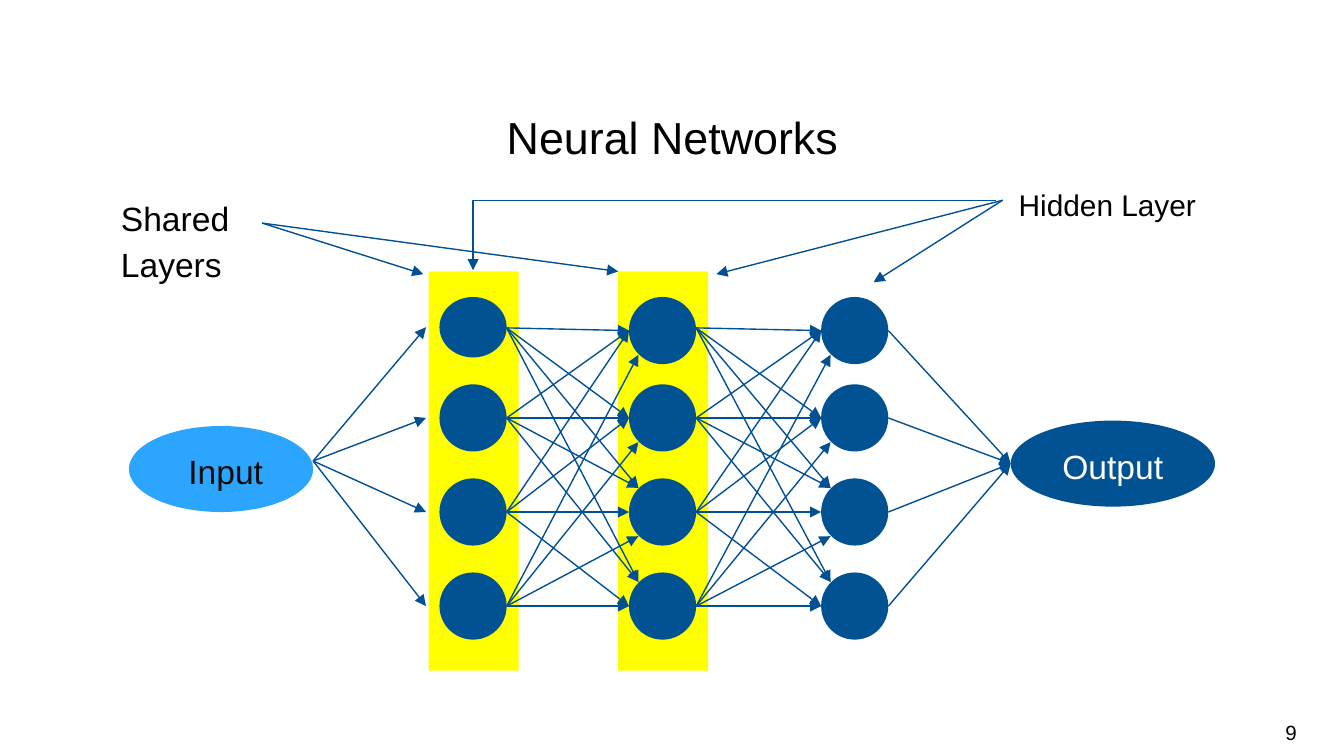
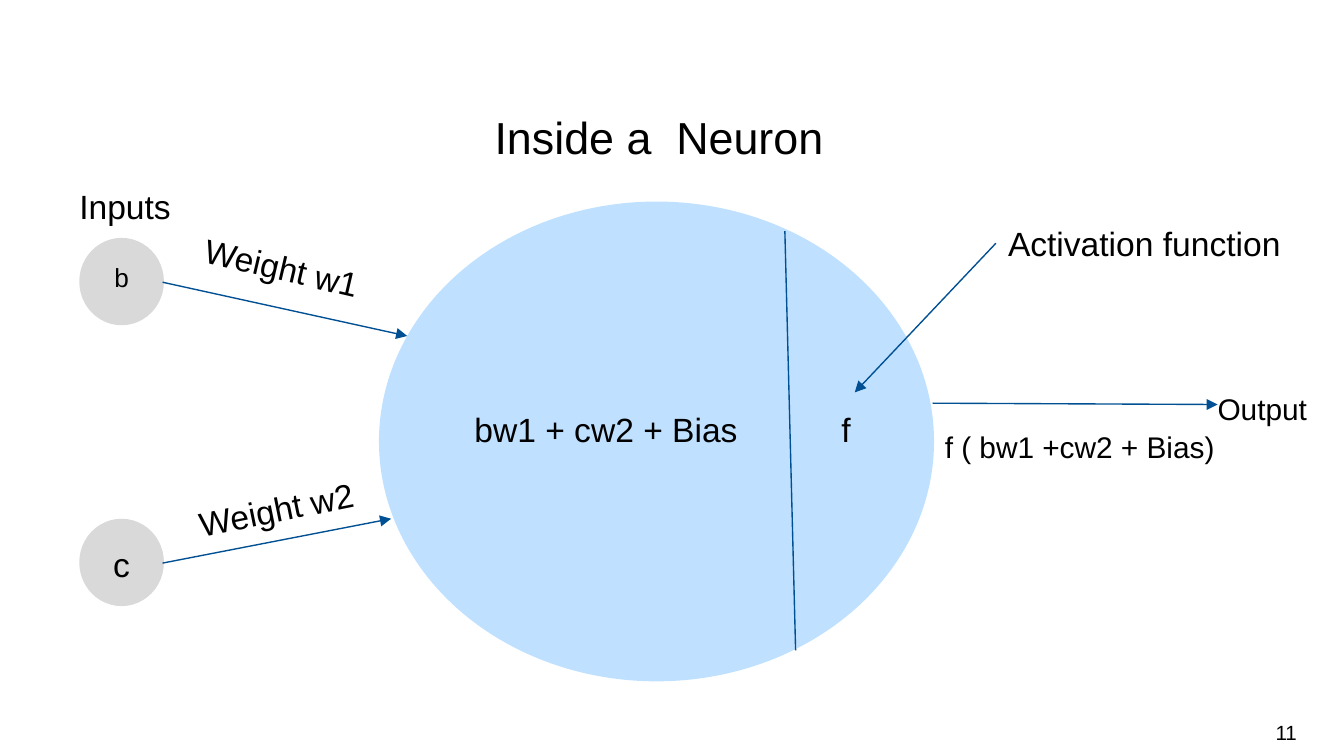
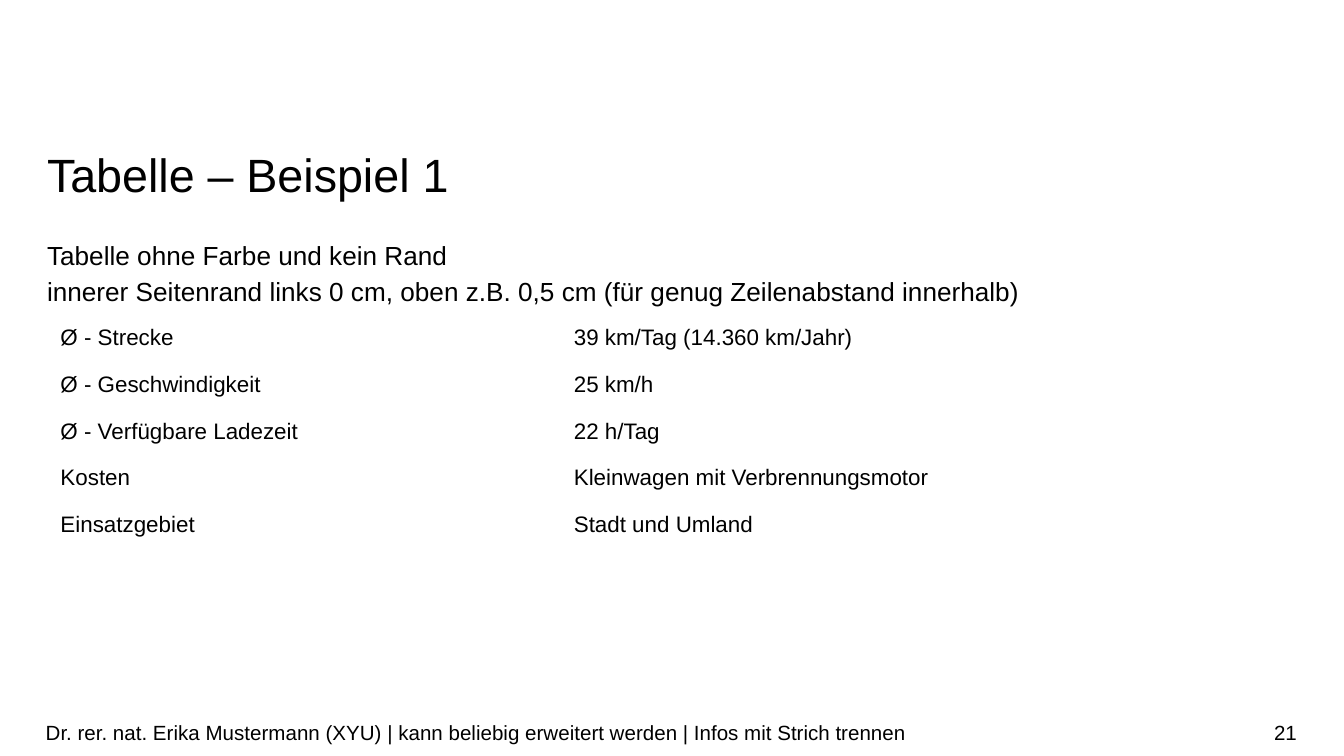
from dataclasses import dataclass

from lxml import etree
from pptx import Presentation
from pptx import util as u
from pptx.dml import color as c
from pptx.enum import shapes, text
from pptx.oxml import ns

FONT = "Arial"
BLACK, WHITE, INK = "000000", "FFFFFF", "0D0D0D"
NAVY, LINE, SKY, PALE = "005293", "005093", "2CA5FF", "BFE1FF"
YELLOW, GREY = "FFFF00", "D9D9D9"
LEFT, CENTER, RIGHT = text.PP_ALIGN.LEFT, text.PP_ALIGN.CENTER, text.PP_ALIGN.RIGHT
TOP, MIDDLE = text.MSO_ANCHOR.TOP, text.MSO_ANCHOR.MIDDLE
SPACING = 1.14
NODE = shapes.MSO_SHAPE.FLOWCHART_CONNECTOR


@dataclass
class Box:
    left: float
    top: float
    width: float
    height: float

    def inner(self, x, y, width, height):
        return Box(self.left + x, self.top + y, width, height)

    def point(self, x, y):
        return self.left + x, self.top + y

    def lengths(self):
        return [u.Inches(n) for n in (self.left, self.top, self.width, self.height)]


# Shared helpers

def rgb(value):
    return c.RGBColor.from_string(value)


def write(frame, words, size, color=BLACK, align=LEFT, anchor=TOP,
          spacing=SPACING, margins=(0, 0), indent=0):
    frame.word_wrap = True
    frame.vertical_anchor = anchor
    frame.margin_left = frame.margin_right = u.Inches(margins[0])
    frame.margin_top = frame.margin_bottom = u.Inches(margins[1])
    para = frame.paragraphs[0]
    para.text = words
    para.alignment = align
    para.line_spacing = spacing
    if indent:
        para._p.get_or_add_pPr().set("marL", str(u.Inches(indent)))
    for span in para.runs:
        span.font.name = FONT
        span.font.size = u.Pt(size)
        span.font.color.rgb = rgb(color)
    return para


def label(page, box, words, size=18, turn=0, **style):
    shape = page.shapes.add_textbox(*box.lengths())
    shape.rotation = turn
    return write(shape.text_frame, words, size, **style)


def solid(page, kind, box, color, words="", size=18, font_color=BLACK, indent=0):
    shape = page.shapes.add_shape(kind, *box.lengths())
    shape.shadow.inherit = False
    shape.fill.solid()
    shape.fill.fore_color.rgb = rgb(color)
    shape.line.fill.background()
    if words:
        write(shape.text_frame, words, size, font_color, CENTER,
              margins=(0.1, 0.05), indent=indent)


def line(page, start, end, arrow=True, kind=shapes.MSO_CONNECTOR.STRAIGHT):
    link = page.shapes.add_connector(kind, *[u.Inches(n) for n in (*start, *end)])
    link.line.color.rgb = rgb(LINE)
    link.line.width = u.Pt(0.75)
    properties = link._element.spPr
    if arrow:
        outline = properties.find(ns.qn("a:ln"))
        etree.SubElement(outline, ns.qn("a:tailEnd"), type="triangle")
    etree.SubElement(properties, ns.qn("a:effectLst"))
    return link


def new_page(deck, title, number, top=0.77, size=24, indent=0):
    page = deck.slides.add_slide(deck.slide_layouts[5])
    heading = page.shapes.title
    box = Box(0.35, top, 9.31, 0.44)
    heading.left, heading.top, heading.width, heading.height = box.lengths()
    write(heading.text_frame, title, size, spacing=u.Pt(32), indent=indent)
    heading.text_frame.auto_size = text.MSO_AUTO_SIZE.SHAPE_TO_FIT_TEXT
    footer(page, Box(7.41, 5.3, 2.24, 0.3), number, RIGHT)
    return page


def footer(page, box, words, align=LEFT):
    label(page, box, words, 11, align=align, anchor=MIDDLE,
          spacing=1.0, margins=(0, 0.05))


# Neural network

def draw_layers(page, box):
    """Draw bands, nodes and links; return the first and last node columns."""
    diameter = 0.5
    columns = []
    bands = ((0, YELLOW), (1.41, YELLOW), (2.84, WHITE))
    for column, (left, color) in enumerate(bands):
        band = box.inner(left, 0, 0.67, box.height)
        solid(page, shapes.MSO_SHAPE.RECTANGLE, band, color)
        nodes = []
        for row, top in enumerate((0.19, 0.84, 1.54, 2.24)):
            height = 0.45 if column == row == 0 else diameter
            node = band.inner(0.08, top, diameter, height)
            solid(page, NODE, node, NAVY)
            nodes.append(node)
        columns.append(nodes)

    for sources, targets in zip(columns, columns[1:]):
        for i, source in enumerate(sources):
            for j, target in enumerate(targets):
                # Steep links meet a node on its upper or lower left
                if i < 2 <= j:
                    entry = target.point(0.07, 0.07)
                elif i == 3 and j < 3:
                    entry = target.point(0.07, 0.43)
                else:
                    entry = target.point(0, 0.25)
                exit_y = 0.23 if i == 0 else 0.25
                line(page, source.point(diameter, exit_y), entry)
    return columns[0], columns[-1]


def draw_ends(page, box, first, last):
    source = box.inner(0.06, 1.82, 1.37, 0.64)
    result = box.inner(6.62, 1.78, 1.52, 0.64)
    oval = shapes.MSO_SHAPE.OVAL
    solid(page, oval, source, SKY, "Input", font_color=INK, indent=0.07)
    solid(page, oval, result, NAVY, "Output", font_color=WHITE)
    for node in first:
        line(page, source.point(1.37, 0.26), node.point(-0.1, node.height / 2))
    for node in last:
        line(page, node.point(0.5, 0.25), result.point(0, 0.32))


def draw_callouts(page, box):
    label(page, box.inner(0, 0.08, 1.03, 0.68), "Shared Layers")
    label(page, box.inner(6.68, 0, 1.45, 0.3), "Hidden Layer", 16)
    for tip in ((2.25, 0.69), (3.7, 0.67)):
        line(page, box.point(1.05, 0.31), box.point(*tip))
    for tip in ((5.6, 0.75), (4.43, 0.69)):
        line(page, box.point(6.56, 0.14), box.point(*tip))
    elbow = line(page, box.point(6.51, 0.14), box.point(2.62, 0.66),
                 kind=shapes.MSO_CONNECTOR.ELBOW)
    elbow._element.spPr.find(ns.qn("a:prstGeom")).set("prst", "bentConnector2")


def network_page(deck):
    page = new_page(deck, "Neural Networks", "9", indent=3.42)
    box = Box(0.9, 1.35, 8.14, 3.64)
    first, last = draw_layers(page, box.inner(2.29, 0.67, 3.51, 2.97))
    draw_ends(page, box, first, last)
    draw_callouts(page, box)


# Inside a neuron

def draw_inputs(page, box):
    label(page, box.inner(0, 0, 0.97, 0.34), "Inputs")
    inputs = (("b", 14, 0.43, (2.44, 1.16)), ("c", 18, 2.52, (2.32, 2.52)))
    for words, size, top, tip in inputs:
        node = box.inner(0, top, 0.63, 0.65)
        solid(page, NODE, node, GREY, words, size)
        line(page, node.point(0.62, 0.33), box.point(*tip))
    label(page, box.inner(0.93, 0.46, 1.19, 0.34), "Weight w1", turn=13.2)
    label(page, box.inner(0.69, 2.27, 1.41, 0.34), "Weight w2", turn=348.5, indent=0.19)


def draw_body(page, box):
    solid(page, NODE, box, PALE)
    line(page, box.point(3.02, 0.22), box.point(3.1, 3.34), arrow=False)
    para = label(page, box.inner(0.71, 1.5, 3.29, 0.68), "bw1 + cw2 + Bias\tf")
    stops = etree.SubElement(para._p.get_or_add_pPr(), ns.qn("a:tabLst"))
    etree.SubElement(stops, ns.qn("a:tab"), pos=str(u.Inches(2.73)), algn="l")


def draw_result(page, box):
    label(page, box.inner(0.56, 0, 2.15, 0.68), "Activation function")
    line(page, box.point(0.47, 0.19), box.point(-0.58, 1.3))
    line(page, box.point(0, 1.38), box.point(2.12, 1.39))
    label(page, box.inner(2.12, 1.25, 0.82, 0.3), "Output", 16)
    label(page, box.inner(0.09, 1.53, 2.02, 0.61), "f ( bw1 +cw2 + Bias)", 16)


def neuron_page(deck):
    page = new_page(deck, "Inside a  Neuron", "11", indent=3.33)
    draw_body(page, Box(2.82, 1.5, 4.13, 3.57))
    draw_inputs(page, Box(0.59, 1.34, 2.44, 3.17))
    draw_result(page, Box(6.94, 1.62, 2.94, 2.14))


# Table

def draw_table(page, box, rows):
    table = page.shapes.add_table(len(rows), 2, *box.lengths()).table
    table.first_row = table.horz_banding = False
    for column, width in zip(table.columns, (3.82, 5.48)):
        column.width = u.Inches(width)
    for row, values in enumerate(rows):
        for column, words in enumerate(values):
            cell = table.cell(row, column)
            cell.fill.background()
            cell.vertical_anchor = MIDDLE
            para = cell.text_frame.paragraphs[0]
            para.text = words
            font = para.runs[0].font
            font.name, font.size = FONT, u.Pt(12)
            font.color.rgb = rgb(BLACK)


def table_page(deck):
    page = new_page(deck, "Tabelle – Beispiel 1", "21", top=1.06, size=25)
    label(page, Box(0.35, 1.75, 9.31, 0.55),
          "Tabelle ohne Farbe und kein Rand\n"
          "innerer Seitenrand links 0 cm, oben z.B. 0,5 cm (für genug Zeilenabstand innerhalb)",
          14)
    draw_table(page, Box(0.35, 2.34, 9.31, 1.74), (
        ("Ø - Strecke", "39 km/Tag (14.360 km/Jahr)"),
        ("Ø - Geschwindigkeit", "25 km/h"),
        ("Ø - Verfügbare Ladezeit", "22 h/Tag"),
        ("Kosten", "Kleinwagen mit Verbrennungsmotor"),
        ("Einsatzgebiet", "Stadt und Umland"),
    ))
    footer(page, Box(0.34, 5.3, 7.07, 0.3),
           "Dr. rer. nat. Erika Mustermann (XYU) | kann beliebig erweitert werden | "
           "Infos mit Strich trennen")


def main():
    deck = Presentation()
    # Widescreen, 16 to 9
    deck.slide_width = u.Inches(10)
    deck.slide_height = deck.slide_width * 9 // 16
    network_page(deck)
    neuron_page(deck)
    table_page(deck)
    deck.save("out.pptx")


if __name__ == "__main__":
    main()
